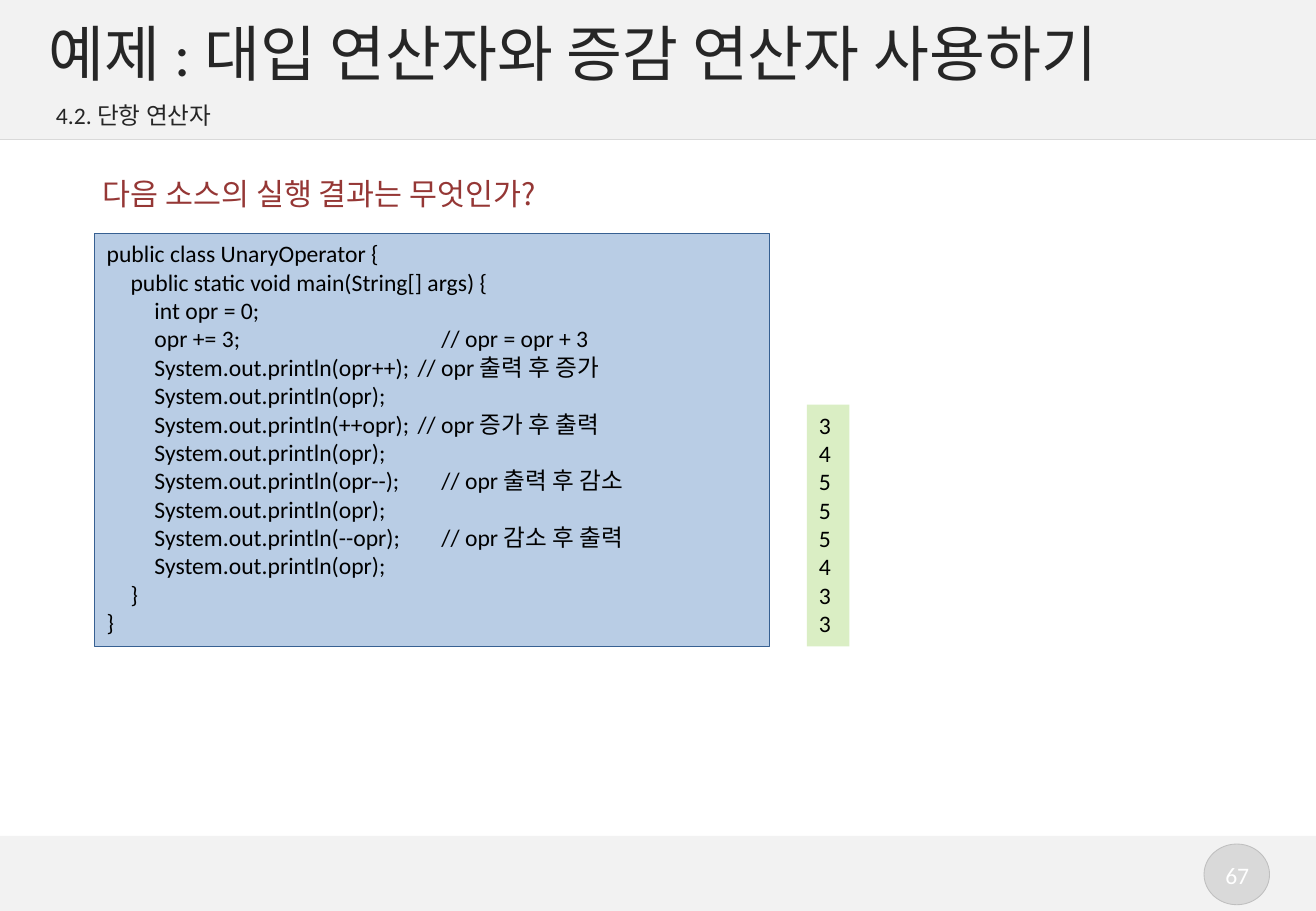
from dataclasses import dataclass

from lxml import etree
from pptx import Presentation
from pptx import util as u
from pptx.dml.color import RGBColor
from pptx.enum import shapes, text
from pptx.oxml import ns


@dataclass(frozen=True)
class Theme:
    latin: str = "Calibri"
    korean: str = "Noto Sans CJK KR"
    title: int = 36
    question: int = 18
    body: int = 14
    band: str = "F2F2F2"
    rule: str = "D9D9D9"
    badge_line: str = "BFBFBF"
    heading: str = "262626"
    accent: str = "953735"
    code_fill: str = "B9CDE5"
    code_line: str = "376092"
    output_fill: str = "DAEEC4"
    ink: str = "000000"
    white: str = "FFFFFF"


CODE = """public class UnaryOperator {
\tpublic static void main(String[] args) {
\t\tint opr = 0;
\t\topr += 3; \t\t\t\t\t\t\t\t\t// opr = opr + 3
\t\tSystem.out.println(opr++); \t// opr 출력 후 증가
\t\tSystem.out.println(opr);
\t\tSystem.out.println(++opr); \t// opr 증가 후 출력
\t\tSystem.out.println(opr);
\t\tSystem.out.println(opr--); \t\t// opr 출력 후 감소
\t\tSystem.out.println(opr);
\t\tSystem.out.println(--opr); \t\t// opr 감소 후 출력
\t\tSystem.out.println(opr);
\t}
}"""
OUTPUT = "34555433"
TAB_STEP = 0.5
TAB_COUNT = 14
WIDTH, HEIGHT = 27.51, 19.05


def set_all(obj, values):
    for name, value in values.items():
        setattr(obj, name, value)


class Deck:
    def __init__(self, theme):
        self.theme = theme
        self.prs = Presentation()
        set_all(self.prs, {"slide_width": u.Cm(WIDTH), "slide_height": u.Cm(HEIGHT)})
        self.s = self.prs.slides.add_slide(self.prs.slide_layouts[6])

    def shape(self, box, fill, line=None, width=0.75, kind=shapes.MSO_SHAPE.RECTANGLE):
        sp = self.s.shapes.add_shape(kind, *map(u.Cm, box))
        sp.shadow.inherit = False
        sp.fill.solid()
        sp.fill.fore_color.rgb = RGBColor.from_string(fill)
        if line:
            sp.line.color.rgb = RGBColor.from_string(line)
            sp.line.width = u.Pt(width)
        else:
            sp.line.fill.background()
        return sp

    def rule(self, y, color):
        sp = self.s.shapes.add_connector(
            shapes.MSO_CONNECTOR.STRAIGHT, 0, u.Cm(y), u.Cm(WIDTH), u.Cm(y))
        sp.line.color.rgb = RGBColor.from_string(color)
        sp.line.width = u.Pt(0.75)
        etree.SubElement(sp._element.spPr, ns.qn("a:effectLst"))

    def label(self, box, line, size, color, **style):
        self.fill_text(self.s.shapes.add_textbox(*map(u.Cm, box)), [line], size, color, **style)

    def fill_text(self, sp, lines, size, color, font=None, tabs=0,
                  align=text.PP_ALIGN.LEFT, **frame):
        tf = sp.text_frame
        set_all(tf, {"word_wrap": True, "vertical_anchor": text.MSO_ANCHOR.TOP, **frame})
        for i, line in enumerate(lines):
            p = tf.add_paragraph() if i else tf.paragraphs[0]
            p.alignment = align
            if tabs:
                self.tab_stops(p, tabs)
            r = p.add_run()
            r.text = line
            set_all(r.font, {"name": font or self.theme.latin, "size": u.Pt(size)})
            r.font.color.rgb = RGBColor.from_string(color)
            ea = etree.Element(ns.qn("a:ea"), typeface=self.theme.korean)
            r._r.get_or_add_rPr().find(ns.qn("a:latin")).addnext(ea)

    def tab_stops(self, p, count):
        stops = etree.SubElement(p._p.get_or_add_pPr(), ns.qn("a:tabLst"))
        for n in range(1, count + 1):
            etree.SubElement(stops, ns.qn("a:tab"), pos=str(u.Cm(n * TAB_STEP)), algn="l")


def main():
    t = Theme()
    deck = Deck(t)
    deck.shape((0, 17.48, WIDTH, 1.57), t.band)
    deck.shape((25.17, 17.65, 1.37, 1.27), t.rule, t.badge_line, 0.5, shapes.MSO_SHAPE.OVAL)
    deck.label((25.32, 17.88, 1.09, 0.86), "67", t.body, t.white,
               align=text.PP_ALIGN.CENTER, word_wrap=False)

    deck.shape((0, 0, WIDTH, 2.92), t.band)
    deck.rule(2.92, t.rule)
    deck.label((1.02, 0.33, 25.53, 1.52), "예제 : 대입 연산자와 증감 연산자 사용하기",
               t.title, t.heading, vertical_anchor=text.MSO_ANCHOR.MIDDLE,
               margin_left=0, margin_right=0, margin_top=0, margin_bottom=0)
    deck.label((0.97, 1.98, 25.58, 0.86), "4.2. 단항 연산자", t.body, t.heading,
               margin_left=u.Cm(0.2))

    code = deck.shape((1.98, 4.88, 14.1, 8.64), t.code_fill, t.code_line)
    deck.fill_text(code, CODE.split("\n"), t.body, t.ink, tabs=TAB_COUNT)
    deck.label((1.9, 3.53, 10.62, 1.02), "다음 소스의 실행 결과는 무엇인가?",
               t.question, t.accent, font=t.korean, word_wrap=False)
    output = deck.shape((16.87, 8.46, 0.89, 5.06), t.output_fill)
    deck.fill_text(output, OUTPUT, t.body, t.ink)
    deck.prs.save("out.pptx")


if __name__ == "__main__":
    main()
